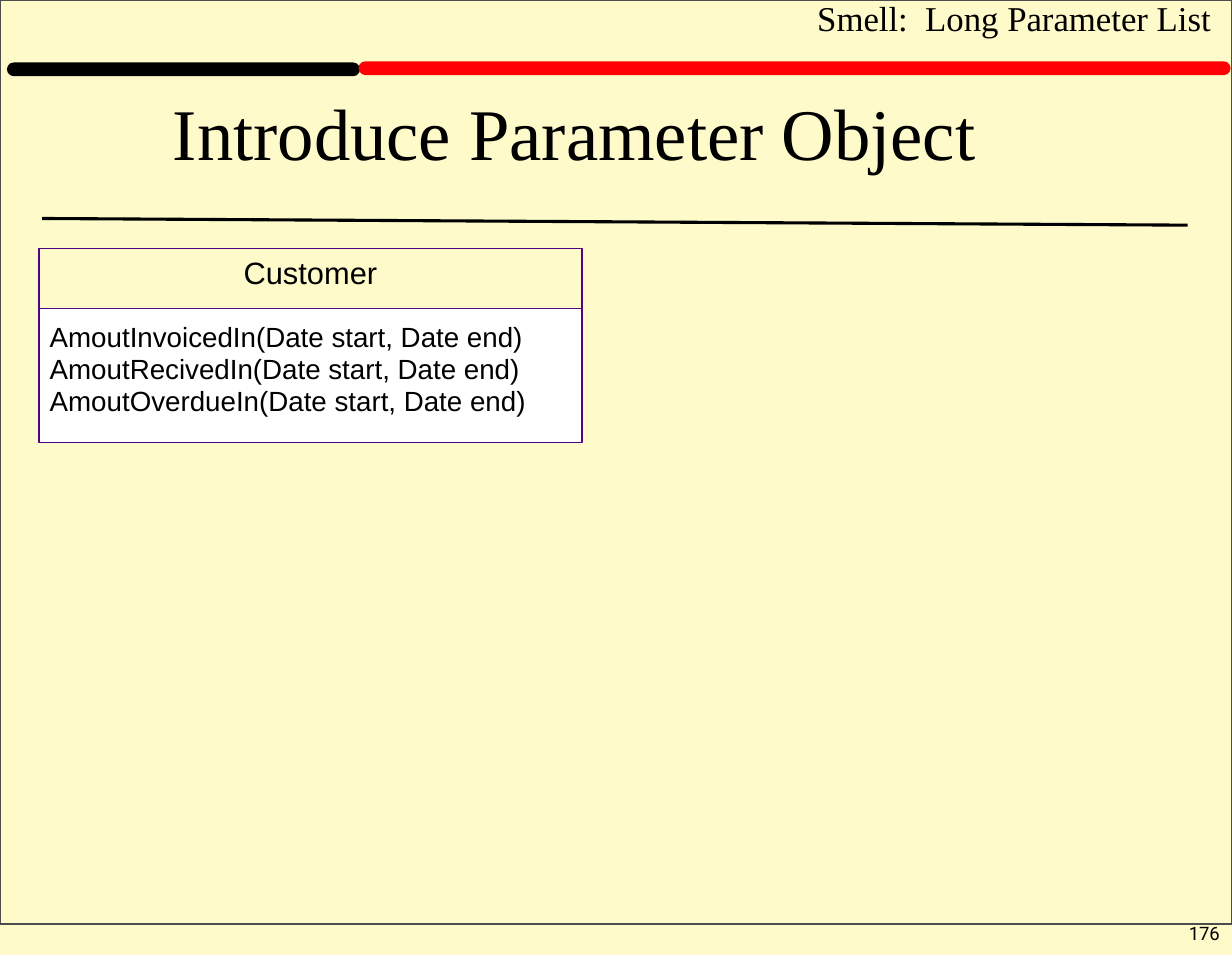
from pptx import Presentation
from pptx.dml.color import RGBColor
from pptx.enum.shapes import MSO_CONNECTOR, MSO_SHAPE
from pptx.enum.text import MSO_ANCHOR, PP_ALIGN
from pptx.oxml.ns import qn
from pptx.util import Inches, Pt
from lxml import etree

RECTANGLE = MSO_SHAPE.RECTANGLE
ROUNDED = MSO_SHAPE.ROUNDED_RECTANGLE
STRAIGHT = MSO_CONNECTOR.STRAIGHT
TOP = MSO_ANCHOR.TOP
LEFT, CENTER = PP_ALIGN.LEFT, PP_ALIGN.CENTER

CREAM = RGBColor(0xFE, 0xFA, 0xC9)
BLACK = RGBColor(0, 0, 0)
RED = RGBColor(0xFF, 0, 0x05)
WHITE = RGBColor(0xFF, 0xFF, 0xFF)
PURPLE = RGBColor(0x51, 0x03, 0x83)
GRAY = RGBColor(0x4C, 0x4C, 0x4C)

SERIF, SANS, NUMBER_FONT = "Times New Roman", "Arial", "Roboto"

COLUMNS, ROWS = 1111, 861
SLIDE_WIDTH, SLIDE_HEIGHT = Inches(11.11), Inches(8.61)
COLUMN, ROW = SLIDE_WIDTH / COLUMNS, SLIDE_HEIGHT / ROWS


def place(left, top, width, height):
    return [round(left * COLUMN), round(top * ROW), round(width * COLUMN), round(height * ROW)]


def write(shape, lines, font, size, spacing, align=LEFT, margins=(0, 0), gap=0):
    frame = shape.text_frame
    frame.word_wrap = True
    frame.vertical_anchor = TOP
    frame.margin_left = frame.margin_right = round(margins[0] * COLUMN)
    frame.margin_top, frame.margin_bottom = round(margins[1] * ROW), 0
    for index, line in enumerate(lines):
        paragraph = frame.paragraphs[0] if index == 0 else frame.add_paragraph()
        paragraph.text = line
        paragraph.alignment = align
        paragraph.line_spacing = Pt(spacing)
        paragraph.space_after = Pt(gap)
        paragraph.font.name = font
        paragraph.font.size = Pt(size)
        paragraph.font.color.rgb = BLACK


def add_label(slide, box, text, font, size, spacing):
    write(slide.shapes.add_textbox(*place(*box)), [text], font, size, spacing)


def add_block(slide, box, fill, outline, kind=RECTANGLE):
    block = slide.shapes.add_shape(kind, *place(*box))
    block.shadow.inherit = False
    if fill is None:
        block.fill.background()
    else:
        block.fill.solid()
        block.fill.fore_color.rgb = fill
    block.line.color.rgb = outline
    block.line.width = Pt(1)
    return block


def add_header(slide, box):
    left, top, width, height = box
    for bar, color in (((7, 57, 317, 11), BLACK), ((324, 56, 785, 11), RED)):
        x, y, w, h = bar
        band = add_block(slide, (left + x, top + y, w, h), color, color, ROUNDED)
        band.adjustments[0] = 0.5
    add_label(slide, (left + 737, top + 1, 387, 33),
              "Smell:  Long Parameter List", SERIF, 22.6, 24)
    add_label(slide, (left + 156, top + 88, 842, 69),
              "Introduce Parameter Object", SERIF, 47.2, 50)
    start_x, start_y, run, drop = place(left + 38, top + 197, width - 78, height - 197)
    underline = slide.shapes.add_connector(
        STRAIGHT, start_x, start_y, start_x + run, start_y + drop)
    underline.line.color.rgb = BLACK
    underline.line.width = Pt(2)
    etree.SubElement(underline.element.spPr, qn("a:effectLst"))


def add_class_box(slide, box, name, methods):
    left, top, width, height = box
    name_height = 54
    name_cell = add_block(slide, (left, top, width, name_height), None, PURPLE)
    write(name_cell, [name], SANS, 20, 20, CENTER, (0, 10))
    method_cell = add_block(
        slide, (left, top + name_height, width, height - name_height), WHITE, PURPLE)
    write(method_cell, methods, SANS, 18, 18, LEFT, (10, 15), 3)


def add_page_frame(slide, box):
    add_block(slide, box, None, GRAY)
    left, top, width, height = box
    add_label(slide, (left + width - 39, top + height + 2, 49, 17), "176", NUMBER_FONT, 12, 12)


def main():
    deck = Presentation()
    deck.slide_width, deck.slide_height = SLIDE_WIDTH, SLIDE_HEIGHT
    slide = deck.slides.add_slide(deck.slide_layouts[6])
    slide.background.fill.solid()
    slide.background.fill.fore_color.rgb = CREAM

    add_header(slide, (0, 0, COLUMNS, 203))
    add_class_box(slide, (35, 224, 490, 175), "Customer", [
        "AmoutInvoicedIn(Date start, Date end)",
        "AmoutRecivedIn(Date start, Date end)",
        "AmoutOverdueIn(Date start, Date end)",
    ])
    add_page_frame(slide, (0, 0, COLUMNS, 833))
    deck.save("out.pptx")


if __name__ == "__main__":
    main()
